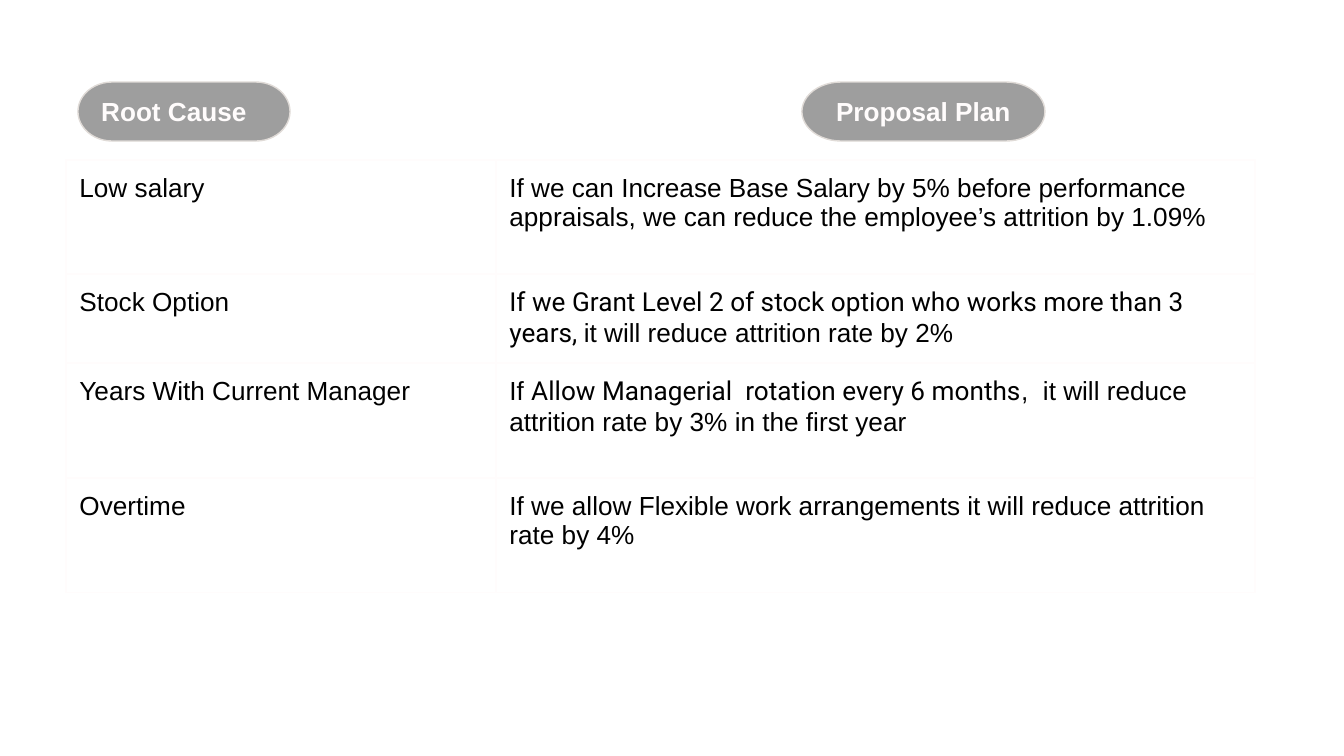
import pptx
import pptx.dml.color
import pptx.enum.shapes
import pptx.enum.text
import pptx.oxml
import pptx.oxml.ns
import pptx.util

EMU_PER_PX = 914400 / 134.4
COLORS = {"text": "000000", "header_text": "FFFCFC", "header_fill": "9E9E9E",
          "header_line": "E0DBD7", "border": "FFFCFC"}
BODY = {"size": 14, "name": "Arial", "color": "text"}
HEADER = {**BODY, "color": "header_text", "bold": True}
ALIGN = pptx.enum.text.PP_ALIGN

COLUMN_WIDTHS = [430, 759]
ROW_HEIGHTS = [114, 89, 115, 115]
# Each cell is a list of (text, font name) runs.
PROPOSALS = [
    ([("Low salary", "Arial")],
     [("If we can Increase Base Salary by 5% before performance appraisals, "
       "we can reduce the employee’s attrition by 1.09%", "Arial")]),
    ([("Stock Option", "Arial")],
     [("If we Grant Level 2 of stock option who works more than 3 years, ", "Roboto"),
      ("it will reduce attrition rate by 2%", "Arial")]),
    ([("Years With Current Manager", "Arial")],
     [("If ", "Arial"),
      ("Allow Managerial  rotation every 6 months", "Roboto"),
      (",  it will reduce attrition rate by 3% in the first year", "Arial")]),
    ([("Overtime", "Arial")],
     [("If we allow Flexible work arrangements it will reduce attrition rate by 4%",
       "Arial")]),
]


def px(length):
    return pptx.util.Emu(round(length * EMU_PER_PX))


def rgb(name):
    return pptx.dml.color.RGBColor.from_string(COLORS[name])


class SlideBuilder:
    def __init__(self, slide):
        self.slide = slide

    def add_text(self, paragraph, text, style):
        run = paragraph.add_run()
        run.text = text
        for key, value in style.items():
            if key == "color":
                run.font.color.rgb = rgb(value)
            else:
                setattr(run.font, key, pptx.util.Pt(value) if key == "size" else value)

    def set_margins(self, target):
        for side in ("left", "top", "right", "bottom"):
            setattr(target, f"margin_{side}", pptx.util.Inches(0.1))

    def header(self, text, left, top, width, height, alignment):
        shape = self.slide.shapes.add_shape(
            pptx.enum.shapes.MSO_SHAPE.FLOWCHART_TERMINATOR,
            px(left), px(top), px(width), px(height))
        shape.shadow.inherit = False
        shape.fill.solid()
        shape.fill.fore_color.rgb = rgb("header_fill")
        shape.line.color.rgb = rgb("header_line")
        shape.line.width = pptx.util.Pt(0.75)
        frame = shape.text_frame
        frame.word_wrap = True
        frame.vertical_anchor = pptx.enum.text.MSO_ANCHOR.MIDDLE
        self.set_margins(frame)
        paragraph = frame.paragraphs[0]
        paragraph.alignment = alignment
        self.add_text(paragraph, text, HEADER)

    def border(self, cell):
        properties = cell._tc.get_or_add_tcPr()
        for index, side in enumerate("LRTB"):
            line = pptx.oxml.parse_xml(
                f'<a:ln{side} {pptx.oxml.ns.nsdecls("a")} w="{pptx.util.Pt(0.75)}">'
                f'<a:solidFill><a:srgbClr val="{COLORS["border"]}"/></a:solidFill>'
                f'</a:ln{side}>')
            properties.insert(index, line)

    def table(self, rows, left, top, widths, heights):
        table = self.slide.shapes.add_table(
            len(rows), len(widths), px(left), px(top),
            px(sum(widths)), px(sum(heights))).table
        table.first_row = table.horz_banding = False
        for column, width in zip(table.columns, widths):
            column.width = px(width)
        for row, height, contents in zip(table.rows, heights, rows):
            row.height = px(height)
            for cell, runs in zip(row.cells, contents):
                cell.fill.background()
                self.set_margins(cell)
                self.border(cell)
                for text, font_name in runs:
                    self.add_text(cell.text_frame.paragraphs[0], text,
                                  {**BODY, "name": font_name})


def main():
    presentation = pptx.Presentation()
    presentation.slide_width, presentation.slide_height = px(1344), px(756)
    builder = SlideBuilder(presentation.slides.add_slide(presentation.slide_layouts[6]))
    builder.table(PROPOSALS, 66, 160, COLUMN_WIDTHS, ROW_HEIGHTS)
    builder.header("Root Cause", 78, 82, 212, 59, ALIGN.LEFT)
    builder.header("Proposal Plan", 802, 82, 243, 59, ALIGN.CENTER)
    presentation.save("out.pptx")


if __name__ == "__main__":
    main()
